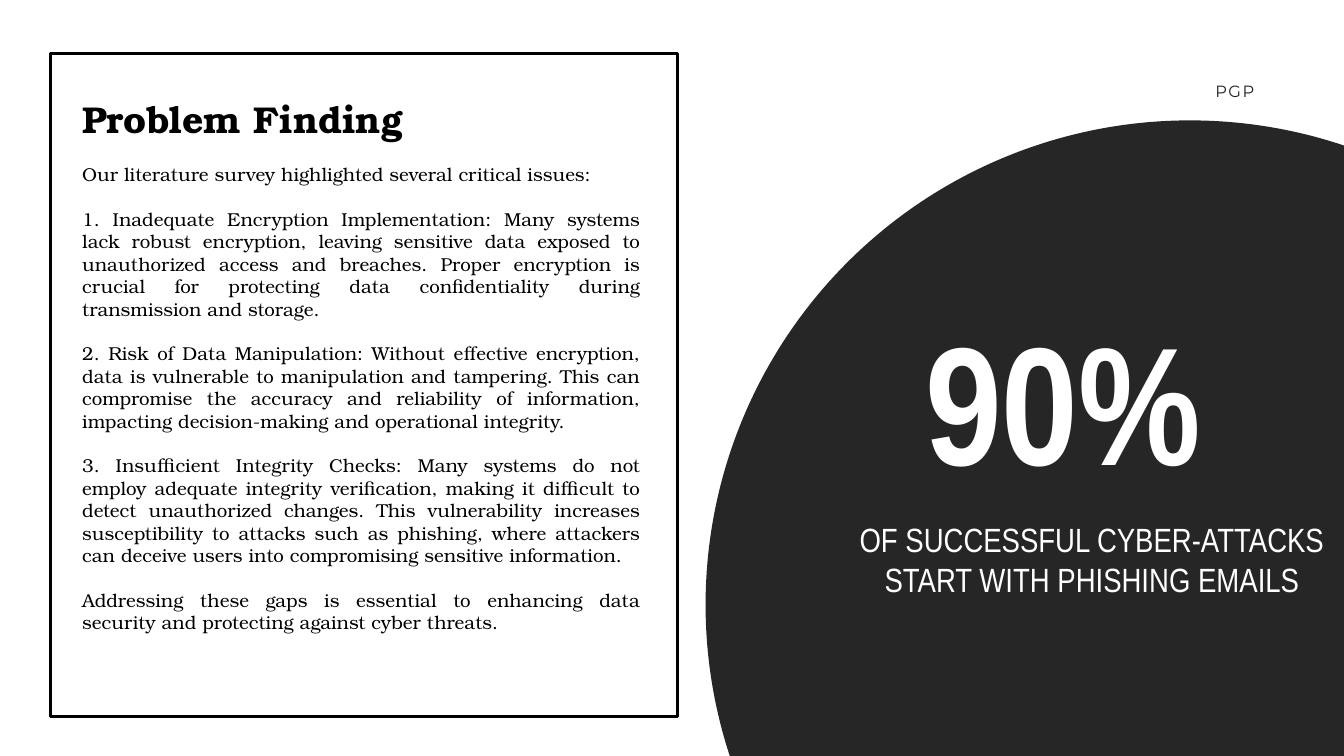
from pptx import Presentation
from pptx import util as u
from pptx.dml.color import RGBColor
from pptx.enum import shapes, text

PX = 9525
BLACK = RGBColor(0x00, 0x00, 0x00)
WHITE = RGBColor(0xFF, 0xFF, 0xFF)
CHARCOAL = RGBColor(0x26, 0x26, 0x26)
INK = RGBColor(0x23, 0x1F, 0x20)
SERIF = "TeX Gyre Bonum"
NARROW = "Arial Narrow"

TITLE = "Problem Finding"
FINDINGS = [
    "Our literature survey highlighted several critical issues:",
    "1. Inadequate Encryption Implementation: Many systems lack robust encryption, "
    "leaving sensitive data exposed to unauthorized access and breaches. Proper "
    "encryption is crucial for protecting data confidentiality during transmission "
    "and storage.",
    "2. Risk of Data Manipulation: Without effective encryption, data is vulnerable "
    "to manipulation and tampering. This can compromise the accuracy and reliability "
    "of information, impacting decision-making and operational integrity.",
    "3. Insufficient Integrity Checks: Many systems do not employ adequate integrity "
    "verification, making it difficult to detect unauthorized changes. This "
    "vulnerability increases susceptibility to attacks such as phishing, where "
    "attackers can deceive users into compromising sensitive information.",
    "Addressing these gaps is essential to enhancing data security and protecting "
    "against cyber threats.",
]


def px(*lengths):
    return [u.Emu(length * PX) for length in lengths]


def add_plain_shape(slide, kind, box):
    shape = slide.shapes.add_shape(kind, *px(*box))
    shape.shadow.inherit = False
    return shape


def add_text_frame(slide, box):
    frame = slide.shapes.add_textbox(*px(*box)).text_frame
    frame.word_wrap = True
    frame.auto_size = text.MSO_AUTO_SIZE.SHAPE_TO_FIT_TEXT
    return frame


def write(paragraph, words, font, size, color, align, bold=False):
    paragraph.alignment = align
    run = paragraph.add_run()
    run.text = words
    run.font.name = font
    run.font.size = u.Pt(size)
    run.font.color.rgb = color
    run.font.bold = bold
    return run


def add_findings_panel(slide, left, top, width, height):
    border = add_plain_shape(slide, shapes.MSO_SHAPE.RECTANGLE, (left, top, width, height))
    border.fill.background()
    border.line.color.rgb = BLACK
    border.line.width = u.Pt(3)

    frame = add_text_frame(slide, (left + 36, top + 56, width - 80, height - 169))
    justify = text.PP_ALIGN.JUSTIFY
    write(frame.paragraphs[0], TITLE, SERIF, 40, BLACK, justify, bold=True)
    for finding in FINDINGS:
        paragraph = frame.add_paragraph()
        paragraph.space_before = u.Pt(24)
        write(paragraph, finding, SERIF, 20, BLACK, justify)


def add_statistic_circle(slide, left, top, diameter):
    circle = add_plain_shape(slide, shapes.MSO_SHAPE.OVAL, (left, top, diameter, diameter))
    circle.fill.solid()
    circle.fill.fore_color.rgb = CHARCOAL
    circle.line.fill.background()

    figure = add_text_frame(slide, (left + 304, top + 248, 840, 300))
    write(figure.paragraphs[0], "90%", NARROW, 180, WHITE, text.PP_ALIGN.LEFT, bold=True)
    caption = add_text_frame(slide, (left + 208, top + 564, 688, 126))
    write(caption.paragraphs[0], "OF SUCCESSFUL CYBER-ATTACKS START WITH PHISHING EMAILS",
          NARROW, 36, WHITE, text.PP_ALIGN.CENTER)


def add_header_label(slide, left, top, width, height):
    frame = add_text_frame(slide, (left, top, width, height))
    frame.margin_left = frame.margin_right = frame.margin_top = frame.margin_bottom = 0
    paragraph = frame.paragraphs[0]
    paragraph.line_spacing = u.Pt(23.9)
    run = write(paragraph, "PGP", "Montserrat", 17.4, INK, text.PP_ALIGN.CENTER)
    run.font._element.set("spc", "170")


def main():
    presentation = Presentation()
    presentation.slide_width, presentation.slide_height = px(1920, 1080)
    slide = presentation.slides.add_slide(presentation.slide_layouts[6])
    add_findings_panel(slide, 72, 76, 896, 948)
    add_statistic_circle(slide, 1008, 172, 1384)
    add_header_label(slide, 1666, 112, 196, 30)
    presentation.save("out.pptx")


if __name__ == "__main__":
    main()
